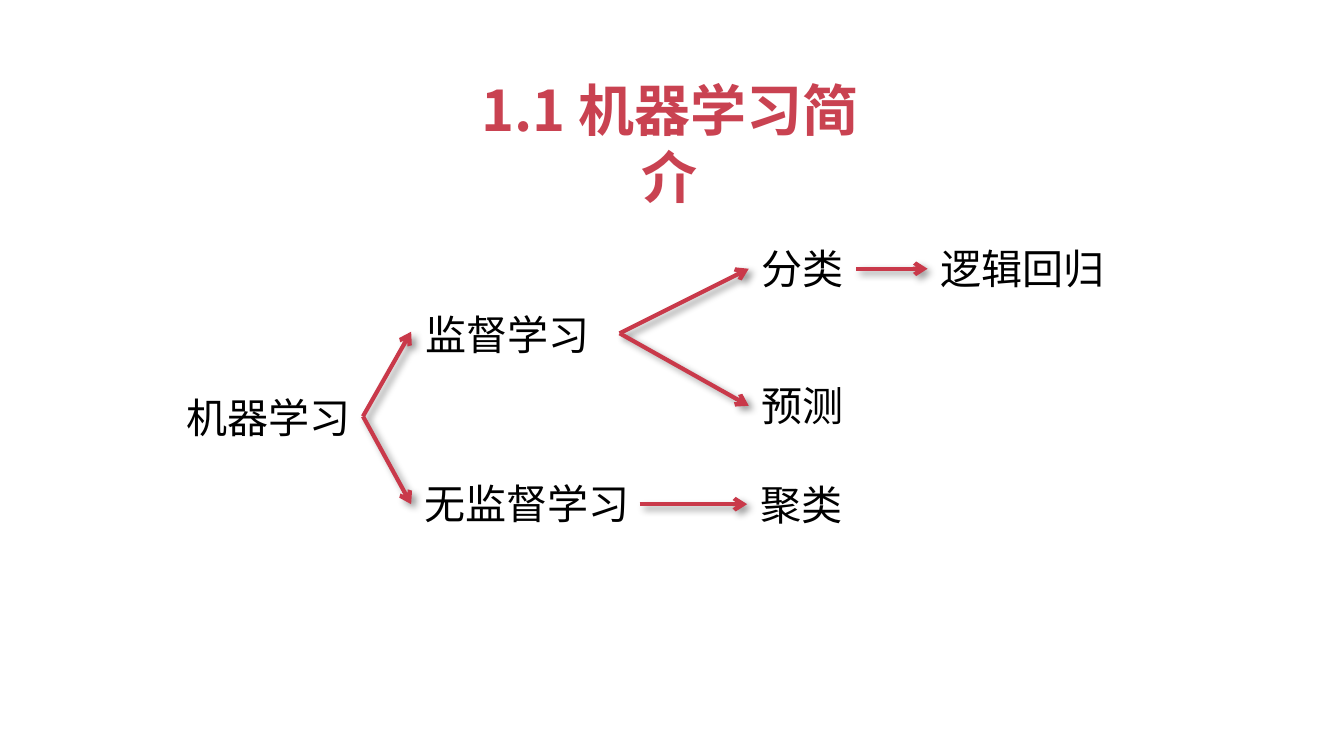
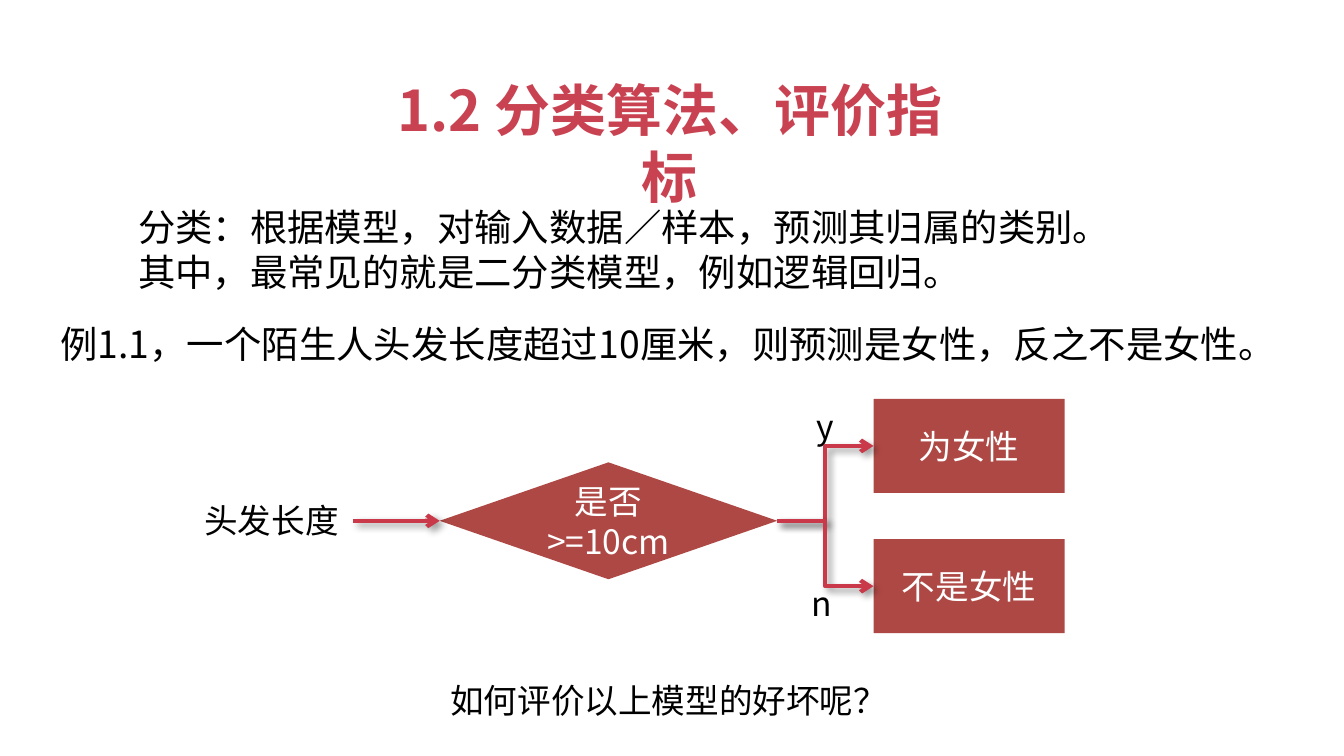
from dataclasses import dataclass
from typing import Any

from lxml.etree import SubElement
from pptx import Presentation
from pptx.dml.color import RGBColor
from pptx.enum.shapes import MSO_CONNECTOR, MSO_SHAPE
from pptx.enum.text import MSO_ANCHOR, MSO_AUTO_SIZE, PP_ALIGN
from pptx.oxml.ns import qn
from pptx.util import Cm, Pt

FACE = "Noto Sans CJK SC"
HUES = {"title": "C94251", "text": "000000", "line": "C9394A",
        "box": "AE4845", "light": "FFFFFF", "shade": "000000"}
MIDDLE = 12.66
LEFT, CENTER, RIGHT = PP_ALIGN.LEFT, PP_ALIGN.CENTER, PP_ALIGN.RIGHT


@dataclass(frozen=True)
class Label:
    words: str
    x: float
    y: float
    w: float
    h: float = 1.19
    size: float = 22
    align: Any = LEFT
    wrap: bool = True
    hue: str = "text"
    bold: bool = False
    inset: float = 0.25


@dataclass(frozen=True)
class Block:
    form: Any
    words: str
    x: float
    y: float
    w: float
    h: float


@dataclass(frozen=True)
class Arrow:
    start: tuple[float, float]
    end: tuple[float, float]
    kind: Any = MSO_CONNECTOR.STRAIGHT


def color(name: str) -> RGBColor:
    return RGBColor.from_string(HUES[name])


def apply(target: Any, values: dict[str, Any]) -> None:
    for name, value in values.items():
        setattr(target, name, value)


def write(frame: Any, words: str, size: float, hue: str,
          align: Any, bold: bool = False) -> None:
    for index, line in enumerate(words.split("\n")):
        para = frame.add_paragraph() if index else frame.paragraphs[0]
        para.alignment = align
        run = para.add_run()
        run.text = line
        apply(run.font, {"name": FACE, "size": Pt(size), "bold": bold})
        run.font.color.rgb = color(hue)
        SubElement(run.font._element, qn("a:ea"), typeface=FACE)


def draw_label(slide: Any, label: Label) -> None:
    box = slide.shapes.add_textbox(Cm(label.x), Cm(label.y), Cm(label.w), Cm(label.h))
    apply(box.text_frame, {
        "word_wrap": label.wrap,
        "auto_size": MSO_AUTO_SIZE.SHAPE_TO_FIT_TEXT,
        "margin_left": Cm(label.inset),
        "margin_right": Cm(label.inset),
    })
    write(box.text_frame, label.words, label.size, label.hue, label.align, label.bold)


def draw_title(slide: Any, words: str, width: float) -> None:
    draw_label(slide, Label(words, MIDDLE - width / 2, 1.3, width, 1.55, 30,
                            CENTER, hue="title", bold=True, inset=0.5))


def draw_block(slide: Any, block: Block) -> Any:
    shape = slide.shapes.add_shape(
        block.form, Cm(block.x), Cm(block.y), Cm(block.w), Cm(block.h))
    shape.shadow.inherit = False
    shape.fill.solid()
    shape.fill.fore_color.rgb = color("box")
    shape.line.fill.background()
    apply(shape.text_frame, {"word_wrap": True, "vertical_anchor": MSO_ANCHOR.MIDDLE})
    write(shape.text_frame, block.words, 18, "light", CENTER)
    return shape


def draw_arrow(slide: Any, arrow: Arrow) -> Any:
    ends = [Cm(value) for value in (*arrow.start, *arrow.end)]
    link = slide.shapes.add_connector(arrow.kind, *ends)
    link.line.color.rgb = color("line")
    link.line.width = Pt(2.25)
    props = link._element.spPr
    SubElement(props.find(qn("a:ln")), qn("a:tailEnd"), type="arrow")
    effects = SubElement(props, qn("a:effectLst"))
    shade = SubElement(effects, qn("a:outerShdw"), blurRad=str(Pt(4)),
                       dist=str(Pt(3)), dir=str(45 * 60000), rotWithShape="0")
    tint = SubElement(shade, qn("a:srgbClr"), val=HUES["shade"])
    SubElement(tint, qn("a:alpha"), val="40000")
    return link


def build_tree(slide: Any) -> None:
    draw_title(slide, "1.1 机器学习简介", 8.86)
    for label in (
        Label("机器学习", 3.28, 7.29, 4.24),
        Label("监督学习", 7.8, 5.72, 3.91),
        Label("无监督学习", 7.77, 8.92, 4.83),
        Label("分类", 14.15, 4.47, 2.39),
        Label("预测", 14.15, 7.06, 3.4),
        Label("逻辑回归", 17.53, 4.47, 4.6),
        Label("聚类", 14.12, 8.94, 2.08),
    ):
        draw_label(slide, label)
    root, guided = (6.86, 7.87), (11.71, 6.3)
    for arrow in (
        Arrow(root, (7.77, 6.27)),
        Arrow(root, (7.77, 9.53)),
        Arrow(guided, (14.15, 5.08)),
        Arrow(guided, (14.15, 7.67)),
        Arrow((16.18, 5.08), (17.53, 5.08)),
        Arrow((12.09, 9.53), (14.12, 9.53)),
    ):
        draw_arrow(slide, arrow)


def build_test(slide: Any) -> None:
    draw_title(slide, "1.2 分类算法、评价指标", 12.07)
    for label in (
        Label("分类：根据模型，对输入数据／样本，预测其归属的类别。\n"
              "其中，最常见的就是二分类模型，例如逻辑回归。", 2.36, 3.73, 20.6, 1.96, 20),
        Label("例1.1，一个陌生人头发长度超过10厘米，则预测是女性，反之不是女性。",
              0.89, 5.94, 23.8, 1.12, 20),
        Label("头发长度", 2.26, 9.32, 4.39, 1.02, 18, RIGHT),
        Label("y", 15.19, 7.54, 0.86, 1.02, 18, wrap=False),
        Label("n", 15.09, 10.9, 0.91, 1.02, 18, wrap=False),
        Label("如何评价以上模型的好坏呢？", 8.26, 12.73, 8.84, 1.02, 18, wrap=False),
    ):
        draw_label(slide, label)
    check = Block(MSO_SHAPE.DIAMOND, "是否>=10cm", 8.31, 8.74, 6.38, 2.21)
    middle = check.y + check.h / 2
    test = draw_block(slide, check)
    entry = draw_arrow(slide, Arrow((6.68, middle), (check.x, middle)))
    entry.end_connect(test, 1)
    for words, top in (("为女性", 7.54), ("不是女性", 10.19)):
        block = Block(MSO_SHAPE.RECTANGLE, words, 16.51, top, 3.61, 1.78)
        result = draw_block(slide, block)
        link = draw_arrow(slide, Arrow((check.x + check.w, middle),
                                       (block.x, top + block.h / 2), MSO_CONNECTOR.ELBOW))
        link.begin_connect(test, 3)
        link.end_connect(result, 1)


def main() -> None:
    deck = Presentation()
    apply(deck, {"slide_width": Cm(25.4), "slide_height": Cm(14.29)})
    for build in (build_tree, build_test):
        build(deck.slides.add_slide(deck.slide_layouts[6]))
    deck.save("out.pptx")


if __name__ == "__main__":
    main()
